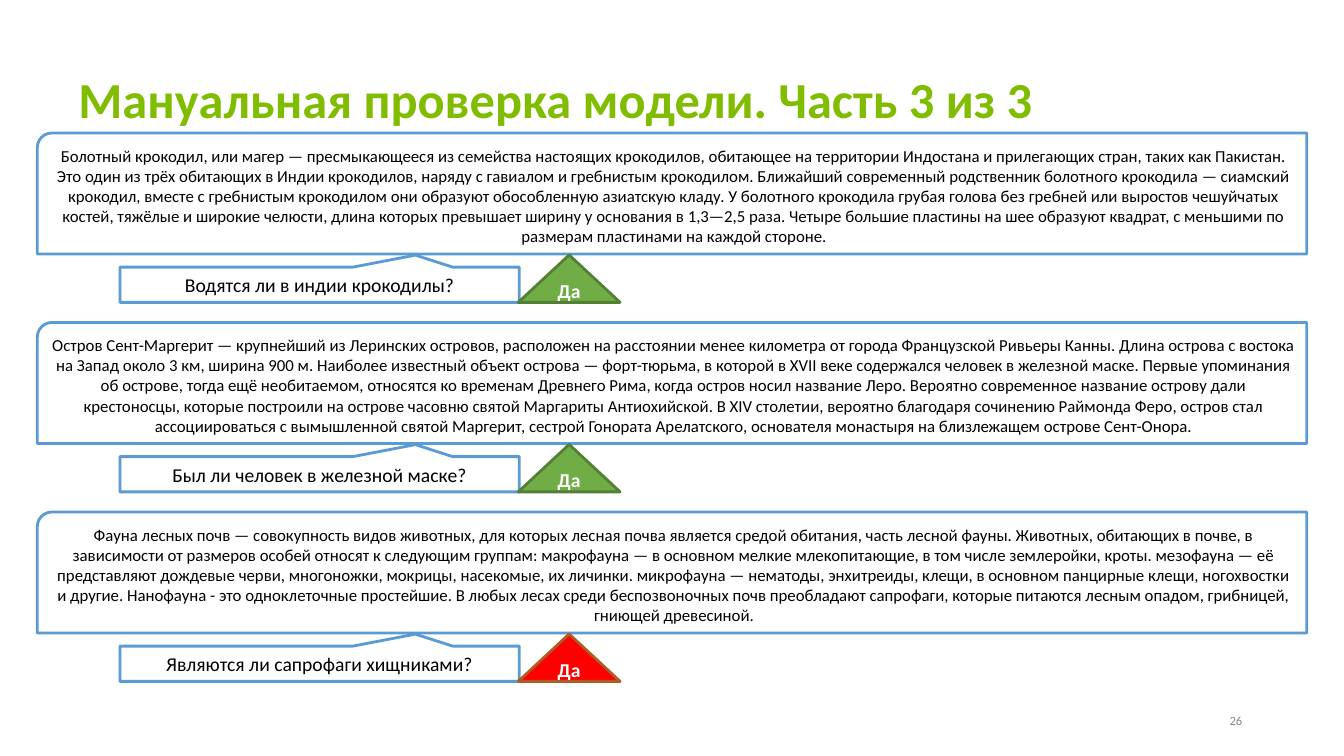
from dataclasses import dataclass

from pptx import Presentation
from pptx import util as u
from pptx.dml import color
from pptx.enum import shapes, text


@dataclass(frozen=True)
class Theme:
    font: str = "Calibri"
    title: str = "80BC00"
    ink: str = "000000"
    paper: str = "FFFFFF"
    muted: str = "888888"
    outline: str = "5B9BD5"
    right: str = "70AD47"
    right_line: str = "538035"
    wrong: str = "FF0000"
    wrong_line: str = "AF5C24"
    title_size: float = 36
    body_size: float = 12
    question_size: float = 14
    number_size: float = 9


@dataclass(frozen=True)
class Box:
    left: float
    top: float
    width: float
    height: float

    def lengths(self) -> list:
        return [u.Inches(value) for value in (self.left, self.top, self.width, self.height)]


@dataclass(frozen=True)
class Check:
    passage: str
    question: str
    answer: str
    correct: bool


THEME = Theme()
FIRST_TOP, PITCH = 1.32, 1.88

CHECKS = [
    Check(
        "Болотный крокодил, или магер — пресмыкающееся из семейства настоящих крокодилов, "
        "обитающее на территории Индостана и прилегающих стран, таких как Пакистан. Это один "
        "из трёх обитающих в Индии крокодилов, наряду с гавиалом и гребнистым крокодилом. "
        "Ближайший современный родственник болотного крокодила — сиамский крокодил, вместе с "
        "гребнистым крокодилом они образуют обособленную азиатскую кладу. У болотного крокодила "
        "грубая голова без гребней или выростов чешуйчатых костей, тяжёлые и широкие челюсти, "
        "длина которых превышает ширину у основания в 1,3—2,5 раза. Четыре большие пластины на "
        "шее образуют квадрат, с меньшими по размерам пластинами на каждой стороне.",
        "Водятся ли в индии крокодилы?", "Да", True),
    Check(
        "Остров Сент-Маргерит — крупнейший из Леринских островов, расположен на расстоянии менее "
        "километра от города Французской Ривьеры Канны. Длина острова с востока на Запад около "
        "3 км, ширина 900 м. Наиболее известный объект острова — форт-тюрьма, в которой в XVII "
        "веке содержался человек в железной маске. Первые упоминания об острове, тогда ещё "
        "необитаемом, относятся ко временам Древнего Рима, когда остров носил название Леро. "
        "Вероятно современное название острову дали крестоносцы, которые построили на острове "
        "часовню святой Маргариты Антиохийской. В XIV столетии, вероятно благодаря сочинению "
        "Раймонда Феро, остров стал ассоциироваться с вымышленной святой Маргерит, сестрой "
        "Гонората Арелатского, основателя монастыря на близлежащем острове Сент-Онора.",
        "Был ли человек в железной маске?", "Да", True),
    Check(
        "Фауна лесных почв — совокупность видов животных, для которых лесная почва является "
        "средой обитания, часть лесной фауны. Животных, обитающих в почве, в зависимости от "
        "размеров особей относят к следующим группам: макрофауна — в основном мелкие "
        "млекопитающие, в том числе землеройки, кроты. мезофауна — её представляют дождевые "
        "черви, многоножки, мокрицы, насекомые, их личинки. микрофауна — нематоды, энхитреиды, "
        "клещи, в основном панцирные клещи, ногохвостки и другие. Нанофауна - это одноклеточные "
        "простейшие. В любых лесах среди беспозвоночных почв преобладают сапрофаги, которые "
        "питаются лесным опадом, грибницей, гниющей древесиной.",
        "Являются ли сапрофаги хищниками?", "Да", False),
]


def write(shape, wording: str, *, size: float, ink: str = THEME.ink, bold: bool = False,
          align=text.PP_ALIGN.CENTER, anchor=text.MSO_ANCHOR.MIDDLE, spacing: float = 1.0) -> None:
    """Fill a shape with one formatted paragraph."""
    frame = shape.text_frame
    frame.word_wrap = True
    frame.vertical_anchor = anchor
    paragraph = frame.paragraphs[0]
    paragraph.alignment = align
    paragraph.line_spacing = spacing
    run = paragraph.add_run()
    run.text = wording
    run.font.name = THEME.font
    run.font.size = u.Pt(size)
    run.font.bold = bold
    run.font.color.rgb = color.RGBColor.from_string(ink)


def add_outlined(slide, kind, box: Box, *, fill: str = THEME.paper,
                 line: str = THEME.outline, adjustments: tuple = ()):
    """Add a filled preset shape with a 2 pt outline."""
    shape = slide.shapes.add_shape(kind, *box.lengths())
    shape.shadow.inherit = False
    shape.fill.solid()
    shape.fill.fore_color.rgb = color.RGBColor.from_string(fill)
    shape.line.color.rgb = color.RGBColor.from_string(line)
    shape.line.width = u.Pt(2)
    for index, value in enumerate(adjustments):
        shape.adjustments[index] = value
    return shape


def add_check(slide, check: Check, top: float) -> None:
    """Draw a passage with its question and the model's answer below."""
    passage = add_outlined(slide, shapes.MSO_SHAPE.SNIP_ROUND_RECTANGLE,
                           Box(0.37, top, 12.59, 1.2), adjustments=(0.12, 0))
    write(passage, check.passage, size=THEME.body_size)

    question = add_outlined(slide, shapes.MSO_SHAPE.RECTANGULAR_CALLOUT,
                            Box(1.19, top + 1.33, 3.96, 0.35), adjustments=(0.24, -0.84))
    write(question, check.question, size=THEME.question_size)

    fill, line = ((THEME.right, THEME.right_line) if check.correct
                  else (THEME.wrong, THEME.wrong_line))
    answer = add_outlined(slide, shapes.MSO_SHAPE.ISOSCELES_TRIANGLE,
                          Box(5.14, top + 1.21, 1.01, 0.47), fill=fill, line=line)
    write(answer, check.answer, size=THEME.question_size, ink=THEME.paper, bold=True)


def main() -> None:
    presentation = Presentation()
    presentation.slide_width = u.Inches(13.33)
    presentation.slide_height = u.Inches(7.5)
    slide = presentation.slides.add_slide(presentation.slide_layouts[6])

    # Title
    title = slide.shapes.add_textbox(*Box(0.68, 0.69, 12.23, 0.64).lengths())
    write(title, "Мануальная проверка модели. Часть 3 из 3", size=THEME.title_size,
          ink=THEME.title, bold=True, align=text.PP_ALIGN.LEFT,
          anchor=text.MSO_ANCHOR.TOP, spacing=0.9)

    # Passages with questions and answers
    for row, check in enumerate(CHECKS):
        add_check(slide, check, FIRST_TOP + row * PITCH)

    # Slide number
    number = slide.shapes.add_textbox(*Box(11.67, 6.95, 0.75, 0.4).lengths())
    write(number, "26", size=THEME.number_size, ink=THEME.muted, align=text.PP_ALIGN.RIGHT)

    presentation.save("out.pptx")


if __name__ == "__main__":
    main()
